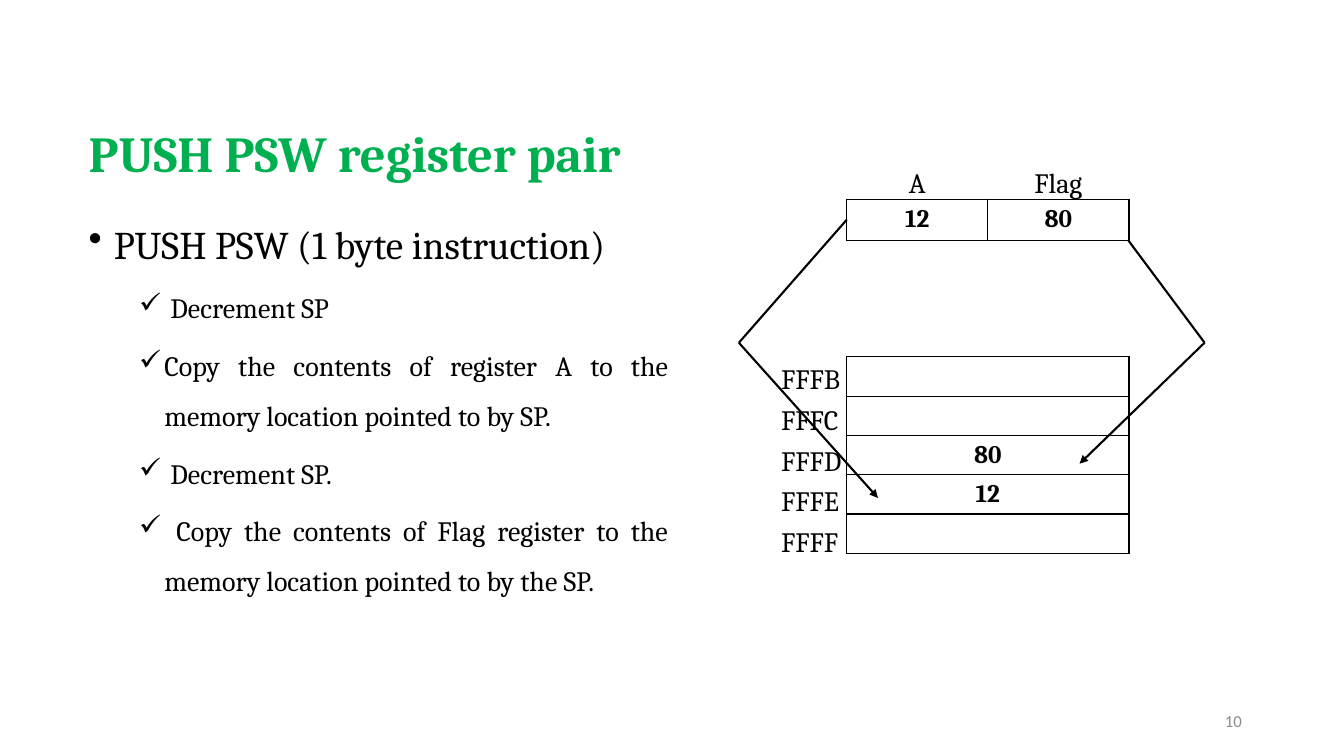
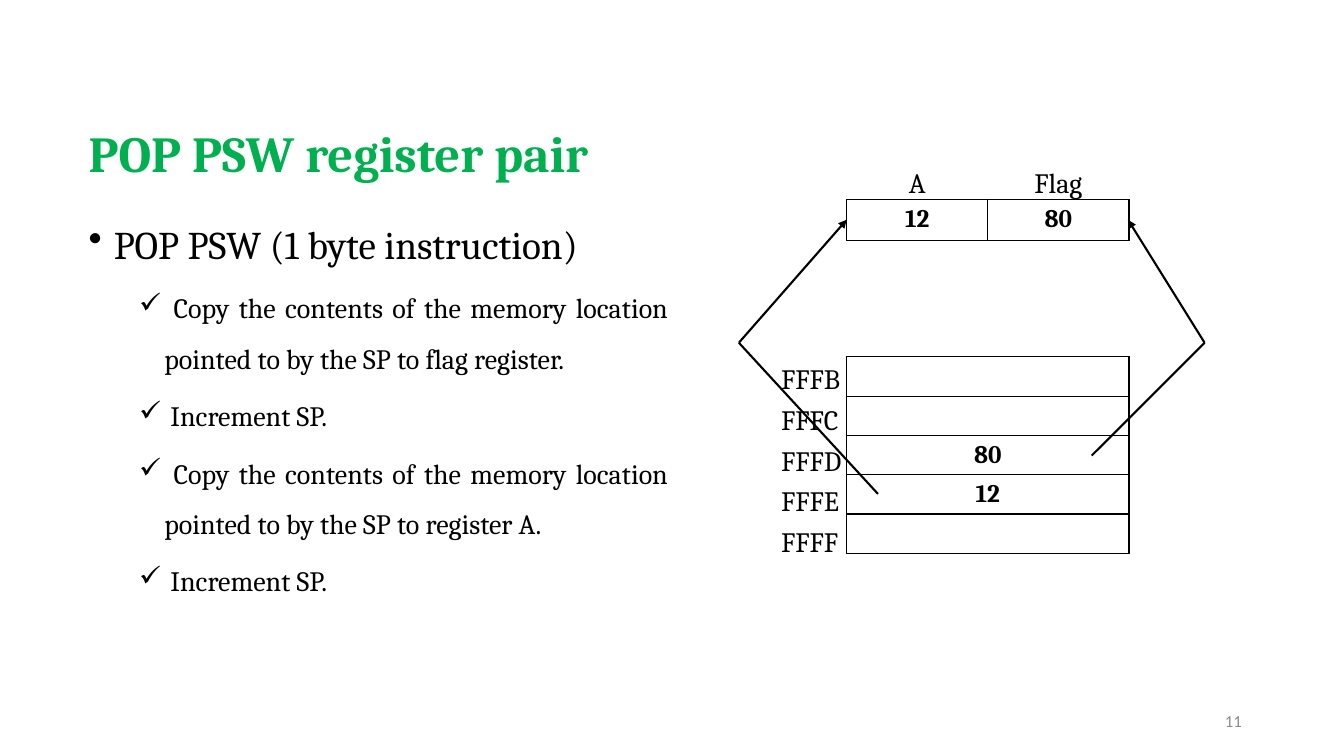
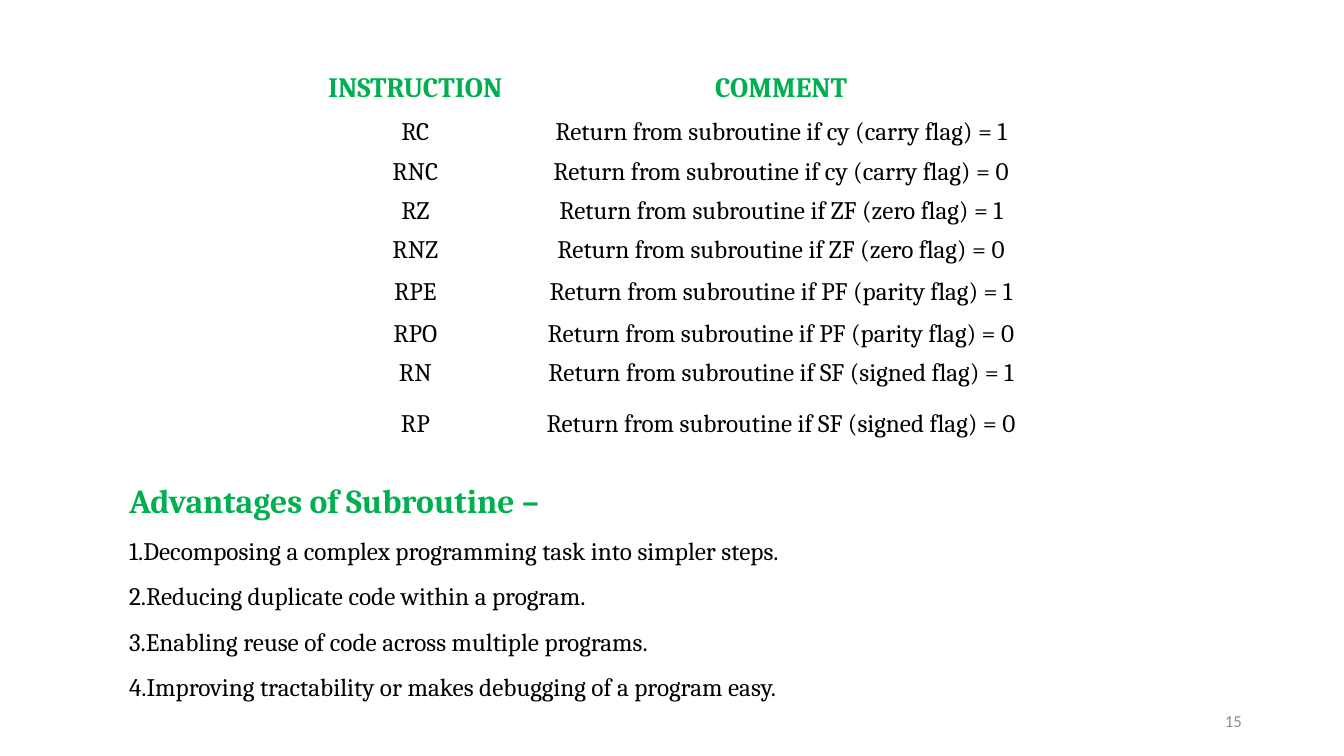
from lxml import etree
from pptx import Presentation
from pptx import util as u
from pptx.dml import color
from pptx.enum import shapes, text
from pptx.oxml import ns

GREEN, BLACK, WHITE, GREY = "00B050", "000000", "FFFFFF", "8C8C8C"
ALIGN, ANCHOR = text.PP_ALIGN, text.MSO_ANCHOR


def cells(count):
    """Convert grid units, ten to the inch, to a length."""
    return u.Inches(count / 10)


def rgb(code):
    """Turn a hex string into a colour."""
    return color.RGBColor.from_string(code)


def add_xml(parent, tag, **attributes):
    """Append a DrawingML element."""
    return etree.SubElement(parent, ns.qn("a:" + tag), attributes)


class Deck:
    """Holds the shared style and the slide being built."""

    def __init__(self):
        """Start an empty widescreen deck."""
        self.prs = Presentation()
        self.prs.slide_width, self.prs.slide_height = cells(133.33), cells(75)
        self.slide = None

    def start(self, title, at, size, number):
        """Add a slide with its title and page number."""
        self.slide = self.prs.slides.add_slide(self.prs.slide_layouts[5])
        heading = self.slide.shapes.title
        heading.left, heading.top, heading.width, heading.height = map(cells, at)
        self.fill_frame(heading.text_frame, [title], ANCHOR.BOTTOM, size=size, hue=GREEN, bold=True)
        self.box([str(number)], (95.2, 69.5, 28, 4), ANCHOR.MIDDLE,
                 size=12, hue=GREY, align=ALIGN.RIGHT, font="Calibri")

    def set_words(self, paragraph, words, size=20, hue=BLACK, bold=False, align=ALIGN.LEFT,
                  font="Cambria", spacing=1, before=0, bullet=None, indent=(0, 0), level=0):
        """Put styled words in a paragraph."""
        paragraph.text = words
        paragraph.alignment, paragraph.level = align, level
        paragraph.line_spacing, paragraph.space_before = spacing, u.Pt(before)
        if bullet:
            props = paragraph._p.get_or_add_pPr()
            props.set("marL", str(cells(indent[0])))
            props.set("indent", str(cells(indent[1])))
            if bullet == "1.":
                add_xml(props, "buAutoNum", type="arabicPeriod")
            else:
                add_xml(props, "buChar", char=bullet)
        face = paragraph.font
        face.name, face.size, face.bold = font, u.Pt(size), bold
        face.color.rgb = rgb(hue)

    def fill_frame(self, frame, lines, anchor, **style):
        """Fill a frame without margins, one paragraph a line."""
        frame.word_wrap, frame.auto_size = True, text.MSO_AUTO_SIZE.NONE
        frame.vertical_anchor = anchor
        frame.margin_left = frame.margin_right = frame.margin_top = frame.margin_bottom = 0
        for index, line in enumerate(lines):
            paragraph = frame.add_paragraph() if index else frame.paragraphs[0]
            self.set_words(paragraph, line, **style)
        return frame

    def box(self, lines, at, anchor=ANCHOR.TOP, **style):
        """Add a text box."""
        holder = self.slide.shapes.add_textbox(*map(cells, at))
        return self.fill_frame(holder.text_frame, lines, anchor, **style)

    def steps(self, instruction, actions):
        """Add an instruction with its checked actions."""
        frame = self.box([instruction], (8.8, 19.5, 57.5, 48), size=28, align=ALIGN.JUSTIFY,
                         spacing=1.5, bullet="•", indent=(2.5, -2.5))
        for action in actions:
            self.set_words(frame.add_paragraph(), action, align=ALIGN.JUSTIFY, spacing=1.5,
                           before=5, bullet="✓", indent=(7.5, -2.5), level=1)

    def table(self, rows, corner, widths, heights, ruled=False, header=False):
        """Add a white table with centred words."""
        grid = self.slide.shapes.add_table(
            len(rows), len(widths), *map(cells, (*corner, sum(widths), sum(heights)))).table
        grid.first_row = grid.horz_banding = False
        for column, width in zip(grid.columns, widths):
            column.width = cells(width)
        for r, (row, height) in enumerate(zip(rows, heights)):
            grid.rows[r].height = cells(height)
            for c, words in enumerate(row):
                cell, head = grid.cell(r, c), header and r == 0
                if ruled:
                    self.rule(cell)
                else:
                    cell.vertical_anchor = ANCHOR.MIDDLE
                if head:
                    cell.margin_left = cell.margin_right = cells(0.8)
                    cell.margin_top = cell.margin_bottom = cells(0.8)
                cell.fill.solid()
                cell.fill.fore_color.rgb = rgb(WHITE)
                self.set_words(cell.text_frame.paragraphs[0], words, size=20 if head else 18,
                               hue=GREEN if head else BLACK, bold=ruled or head,
                               align=ALIGN.CENTER)

    def rule(self, cell):
        """Draw the four borders of a cell."""
        props = cell._tc.get_or_add_tcPr()
        for side in ("lnL", "lnR", "lnT", "lnB"):
            border = add_xml(props, side, w=str(u.Pt(1)))
            add_xml(add_xml(border, "solidFill"), "srgbClr", val=BLACK)

    def route(self, points):
        """Join points by lines, with an arrowhead at the last one."""
        for start, end in zip(points, points[1:]):
            leg = self.slide.shapes.add_connector(
                shapes.MSO_CONNECTOR.STRAIGHT, *map(cells, (*start, *end)))
            leg.line.color.rgb, leg.line.width = rgb(BLACK), u.Pt(1.5)
            if end == points[-1]:
                add_xml(leg.line._get_or_add_ln(), "tailEnd", type="triangle")
            add_xml(leg._element.spPr, "effectLst")

    def stack_slide(self, name, number, actions, routes):
        """Show how an instruction moves registers to or from the stack."""
        self.start(f"{name} register pair", (8.8, 11.1, 57.5, 7), 36, number)
        self.steps(f"{name} (1 byte instruction)", actions)
        left, width = 84, 14
        for index, register in enumerate(("A", "Flag")):
            self.box([register], (left + index * width, 15.8, width, 4),
                     ANCHOR.BOTTOM, align=ALIGN.CENTER)
        self.box(["FFFB", "FFFC", "FFFD", "FFFE", "FFFF"], (77.5, 35.9, 9, 20), before=5)
        self.table([["12", "80"]], (left, 19.8), [width] * 2, [4.1], ruled=True)
        self.table([[""], [""], ["80"], ["12"], [""]], (left, 35.4), [2 * width], [3.9] * 5, ruled=True)
        for points in routes:
            self.route(points)


def main():
    """Build and save the deck."""
    deck = Deck()
    left_bend, right_bend = (73.3, 34), (119.5, 34)
    deck.stack_slide("PUSH PSW", 10, [
        " Decrement SP",
        "Copy the contents of register A to the memory location pointed to by SP.",
        " Decrement SP.",
        " Copy the contents of Flag register to the memory location pointed to by the SP.",
    ], [[(84, 21.8), left_bend, (87.1, 49.4)], [(111.9, 23.8), right_bend, (107.1, 46)]])
    deck.stack_slide("POP PSW", 11, [
        " Copy the contents of the memory location pointed to by the SP to flag register.",
        " Increment SP.",
        " Copy the contents of the memory location pointed to by the SP to register A.",
        " Increment SP.",
    ], [[(87.1, 49), left_bend, (84, 21.8)], [(108.3, 45.2), right_bend, (111.9, 21.8)]])

    deck.start("Advantages of Subroutine –", (12.8, 46.6, 97.5, 5), 24, 15)
    returns = [("RC", "cy (carry flag) = 1"), ("RNC", "cy (carry flag) = 0"),
               ("RZ", "ZF (zero flag) = 1"), ("RNZ", "ZF (zero flag) = 0"),
               ("RPE", "PF (parity flag) = 1"), ("RPO", "PF (parity flag) = 0"),
               ("RN", "SF (signed flag) = 1"), ("RP", "SF (signed flag) = 0")]
    rows = [(code, f"Return from subroutine if {condition}") for code, condition in returns]
    deck.table([("INSTRUCTION", "COMMENT"), *rows], (31.1, 6.4), [20.2, 52.4],
               [4.8, *[3.9] * 4, 4.4, 3.9, 3.9, 6.2], header=True)
    deck.box(["Decomposing a complex programming task into simpler steps.",
              "Reducing duplicate code within a program.",
              "Enabling reuse of code across multiple programs.",
              "Improving tractability or makes debugging of a program easy."],
             (12.8, 51.6, 97.5, 18), size=18, align=ALIGN.JUSTIFY, spacing=1.5, bullet="1.")
    deck.prs.save("out.pptx")


if __name__ == "__main__":
    main()
